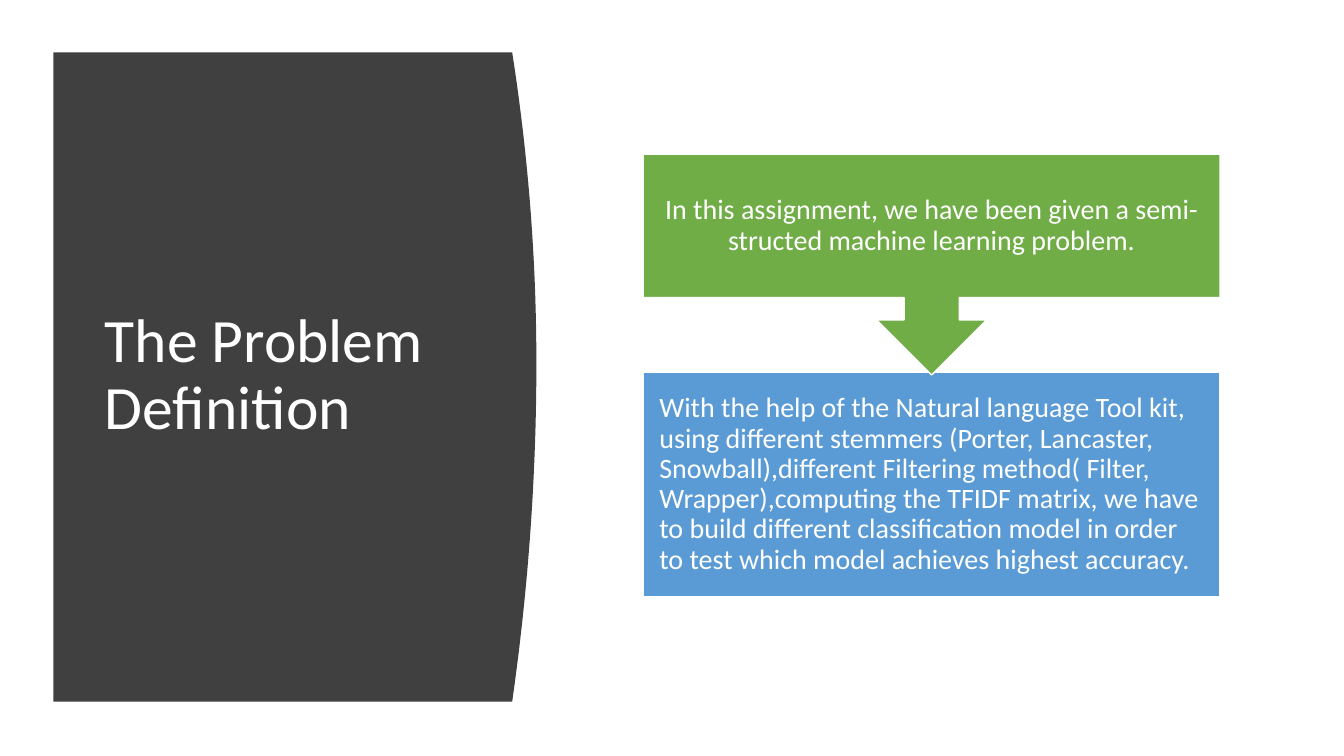
from pptx import Presentation
from pptx.dml.color import RGBColor
from pptx.enum.shapes import MSO_SHAPE
from pptx.enum.text import MSO_ANCHOR, MSO_AUTO_SIZE, PP_ALIGN
from pptx.util import Inches, Pt

WHITE, DARK, BLUE, GREEN = "FFFFFF", "404040", "5B9BD5", "70AD47"
CALLOUT_BODY = 0.65  # share of the callout's height above its arrow


def color(hex_code):
    return RGBColor.from_string(hex_code)


def paint(shape, fill, line=None):
    shape.shadow.inherit = False
    shape.fill.solid()
    shape.fill.fore_color.rgb = color(fill)
    if line:
        shape.line.color.rgb = color(line)
        shape.line.width = Pt(1)
    else:
        shape.line.fill.background()


def write(shape, text, size, align=PP_ALIGN.LEFT, inset=None):
    frame = shape.text_frame
    frame.text = text
    settings = {"word_wrap": True, "auto_size": MSO_AUTO_SIZE.NONE,
                "vertical_anchor": MSO_ANCHOR.MIDDLE}
    if inset is not None:
        sides = ("left", "top", "right", "bottom")
        settings.update({f"margin_{side}": Inches(inset) for side in sides})
    for name, value in settings.items():
        setattr(frame, name, value)
    para = frame.paragraphs[0]
    para.alignment = align
    para.line_spacing = 0.9
    for name, value in {"name": "Calibri", "size": Pt(size), "bold": False}.items():
        setattr(para.font, name, value)
    para.font.color.rgb = color(WHITE)


def add_title_panel(page, left, top, width, height, title):
    """Dark panel whose right side bulges along two half parabolas."""
    bulge, peak, steps = 0.24, 3.08, 40
    edge = []
    for step in range(steps + 1):
        y = height * step / steps
        reach = peak if y < peak else height - peak
        x = width - bulge * ((y - peak) / reach) ** 2
        edge.append((Inches(left + x), Inches(top + y)))
    builder = page.shapes.build_freeform(Inches(left), Inches(top), scale=1.0)
    builder.add_line_segments(edge + [(Inches(left), Inches(top + height))], close=True)
    panel = builder.convert_to_shape()
    paint(panel, DARK)

    box = page.shapes.title
    box.left, box.top = Inches(left + 0.41), Inches(top + 0.59)
    box.width, box.height = Inches(3.74), Inches(5.24)
    write(box, title, 44)
    panel.element.addnext(box.element)


def add_process(page, left, top, width, height, first, second):
    """Downward callout with the first step, above a box with the second."""
    callout_height, box_height = 2.19, 2.23
    box = page.shapes.add_shape(
        MSO_SHAPE.RECTANGLE, Inches(left), Inches(top + height - box_height),
        Inches(width), Inches(box_height))
    paint(box, BLUE, WHITE)
    write(box, second, 20, inset=0.16)

    callout = page.shapes.add_shape(
        MSO_SHAPE.UP_ARROW_CALLOUT, Inches(left), Inches(top),
        Inches(width), Inches(callout_height))
    callout.rotation = 180
    paint(callout, GREEN, WHITE)
    label = page.shapes.add_textbox(
        Inches(left), Inches(top), Inches(width), Inches(callout_height * CALLOUT_BODY))
    write(label, first, 20, PP_ALIGN.CENTER, inset=0.16)


def main():
    deck = Presentation()
    deck.slide_width, deck.slide_height = Inches(13.33), Inches(7.5)
    page = deck.slides.add_slide(deck.slide_layouts[5])
    add_title_panel(page, 0.53, 0.52, 4.79, 6.44, "The Problem Definition")
    add_process(
        page, 6.38, 1.53, 5.72, 4.39,
        "In this assignment, we have been given a semi-structed machine learning problem.",
        "With the help of the Natural language Tool kit, using different stemmers "
        "(Porter, Lancaster, Snowball),different Filtering method( Filter, "
        "Wrapper),computing the TFIDF matrix, we have to build different "
        "classification model in order to test which model achieves highest accuracy.")
    deck.save("out.pptx")


if __name__ == "__main__":
    main()
